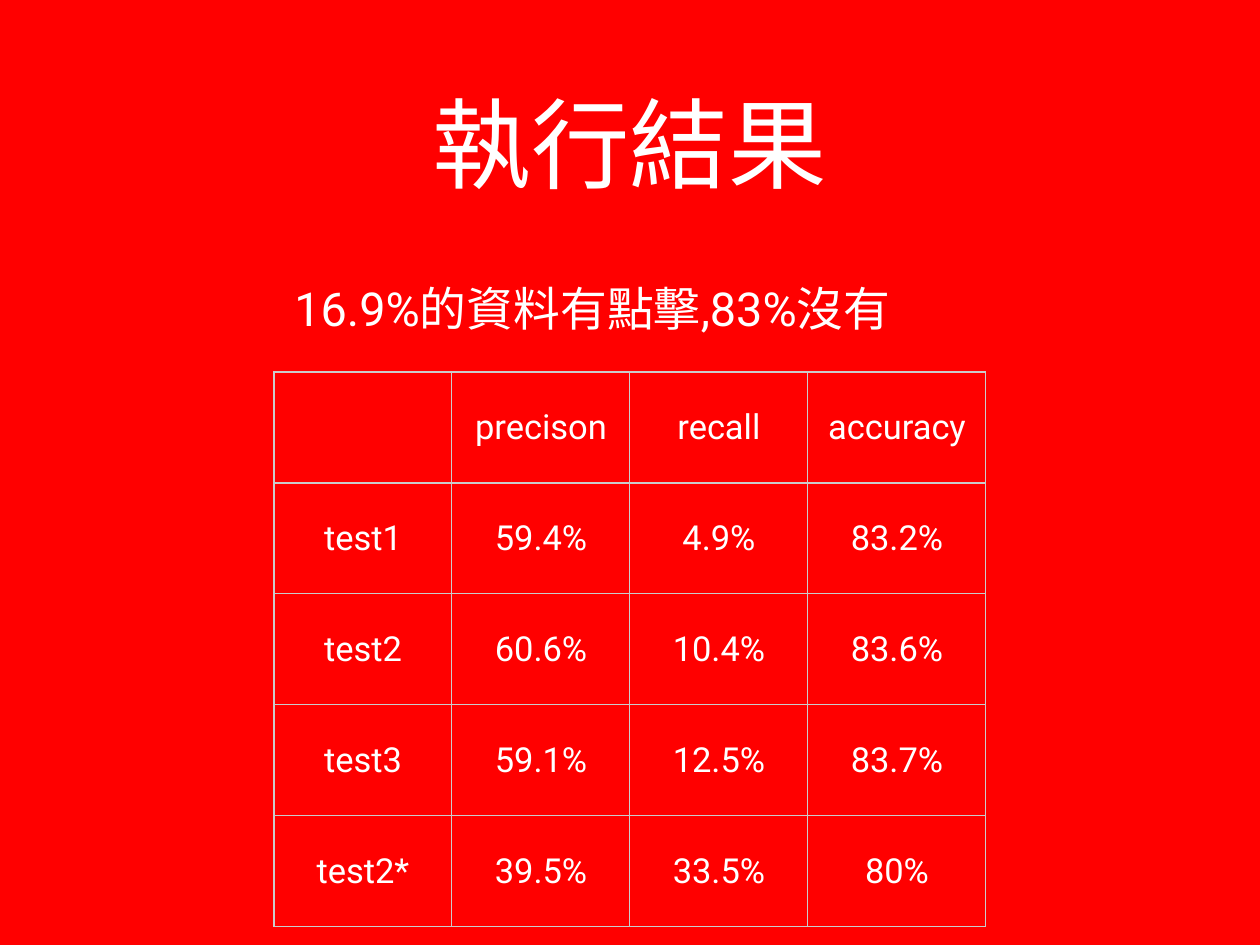
import pptx
import pptx.dml.color
import pptx.enum.text
import pptx.oxml
import pptx.oxml.ns
import pptx.util

RED = pptx.dml.color.RGBColor(0xFF, 0x00, 0x00)
WHITE = pptx.dml.color.RGBColor(0xFF, 0xFF, 0xFF)
BORDER_GREY = pptx.dml.color.RGBColor(0xCB, 0xCB, 0xCB)
FONT = "Roboto"
PX = 10321
MIDDLE = pptx.enum.text.MSO_ANCHOR.MIDDLE

RESULTS = [
    ["", "precison", "recall", "accuracy"],
    ["test1", "59.4%", "4.9%", "83.2%"],
    ["test2", "60.6%", "10.4%", "83.6%"],
    ["test3", "59.1%", "12.5%", "83.7%"],
    ["test2*", "39.5%", "33.5%", "80%"],
]
COLUMN_WIDTH, ROW_HEIGHT = 178, 111


def write_text(text_frame, text, size):
    paragraph = text_frame.paragraphs[0]
    paragraph.alignment = pptx.enum.text.PP_ALIGN.CENTER
    run = paragraph.add_run()
    run.text = text
    font_format = {"name": FONT, "size": pptx.util.Pt(size), "bold": False}
    for name, value in font_format.items():
        setattr(run.font, name, value)
    run.font.color.rgb = WHITE
    east_asian = pptx.oxml.parse_xml(
        f'<a:ea {pptx.oxml.ns.nsdecls("a")} typeface="{FONT}"/>')
    run.font._element.find(pptx.oxml.ns.qn("a:latin")).addnext(east_asian)


def add_borders(cell):
    properties = cell._tc.get_or_add_tcPr()
    for position, side in enumerate(("lnL", "lnR", "lnT", "lnB")):
        properties.insert(position, pptx.oxml.parse_xml(
            f'<a:{side} {pptx.oxml.ns.nsdecls("a")} w="{pptx.util.Pt(1)}">'
            f'<a:solidFill><a:srgbClr val="{BORDER_GREY}"/></a:solidFill></a:{side}>'))


presentation = pptx.Presentation()
presentation.slide_width = 1260 * PX
presentation.slide_height = 945 * PX
slide = presentation.slides.add_slide(presentation.slide_layouts[5])
slide.background.fill.solid()
slide.background.fill.fore_color.rgb = RED

title = slide.shapes.title
title_box = {"left": 92, "top": 39, "width": 1076, "height": 206}
for name, value in title_box.items():
    setattr(title, name, value * PX)
title_format = {
    "margin_left": 0, "margin_right": 0, "margin_top": 0, "margin_bottom": 0,
    "vertical_anchor": MIDDLE, "word_wrap": True,
    "auto_size": pptx.enum.text.MSO_AUTO_SIZE.NONE,
}
for name, value in title_format.items():
    setattr(title.text_frame, name, value)
write_text(title.text_frame, "執行結果", 80)

row_count, column_count = len(RESULTS), len(RESULTS[0])
table = slide.shapes.add_table(
    row_count, column_count, 274 * PX, 372 * PX,
    column_count * COLUMN_WIDTH * PX, row_count * ROW_HEIGHT * PX).table
for column in table.columns:
    column.width = COLUMN_WIDTH * PX
for row in table.rows:
    row.height = ROW_HEIGHT * PX

margins = {f"margin_{side}": 5 * PX for side in ("left", "right", "top", "bottom")}
for row_number, values in enumerate(RESULTS):
    for column_number, text in enumerate(values):
        cell = table.cell(row_number, column_number)
        for name, value in {**margins, "vertical_anchor": MIDDLE}.items():
            setattr(cell, name, value)
        cell.fill.background()
        add_borders(cell)
        if text:
            write_text(cell.text_frame, text, 28)

summary = slide.shapes.add_textbox(280 * PX, 275 * PX, 625 * PX, 66 * PX)
summary_format = {**margins, "vertical_anchor": MIDDLE, "word_wrap": True}
for name, value in summary_format.items():
    setattr(summary.text_frame, name, value)
write_text(summary.text_frame, "16.9%的資料有點擊,83%沒有", 38)

presentation.save("out.pptx")
